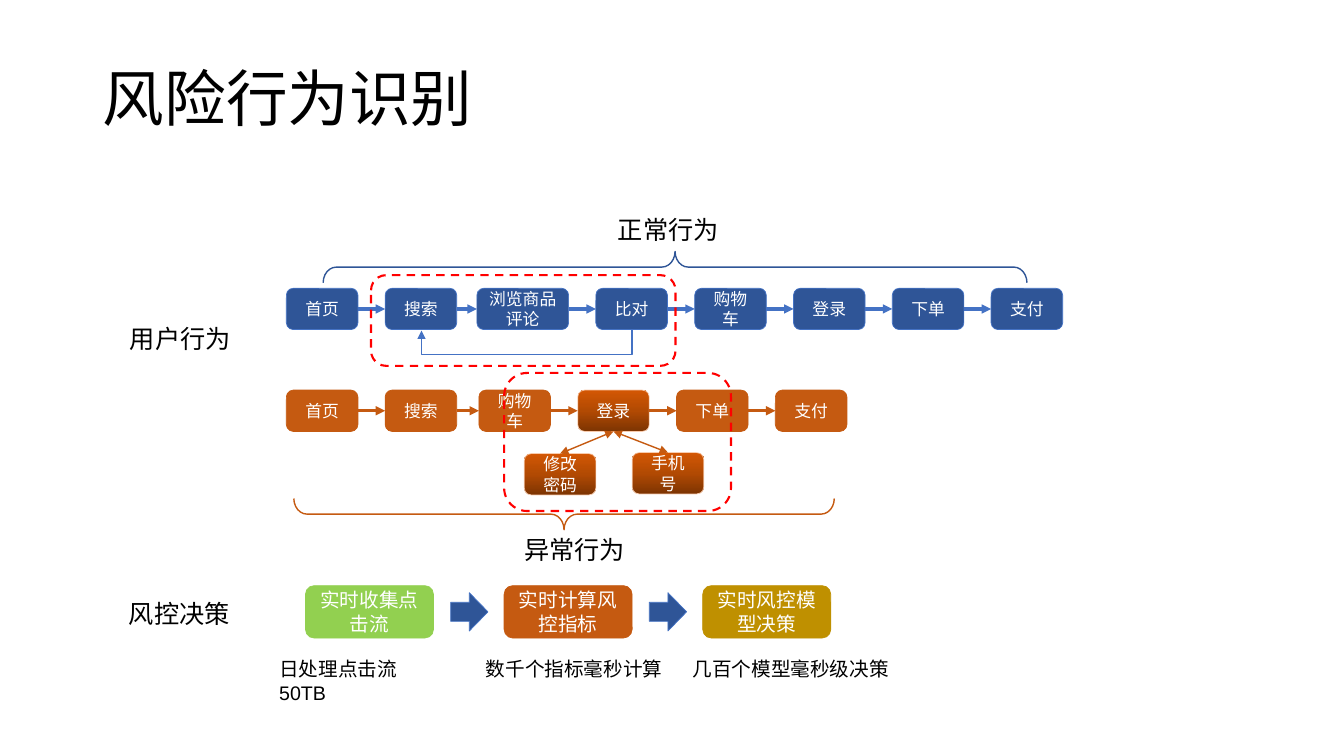
"""Build the risk behaviour recognition slide."""
from copy import deepcopy
from dataclasses import dataclass
from itertools import pairwise

from pptx import Presentation
from pptx.dml.color import RGBColor
from pptx.enum.dml import MSO_LINE
from pptx.enum.shapes import MSO_CONNECTOR, MSO_SHAPE
from pptx.enum.text import MSO_ANCHOR, MSO_AUTO_SIZE, PP_ALIGN
from pptx.oxml.ns import qn
from pptx.util import Emu, Inches, Pt

ROUND, ARROW, BRACE = MSO_SHAPE.ROUNDED_RECTANGLE, MSO_SHAPE.RIGHT_ARROW, MSO_SHAPE.LEFT_BRACE
STRAIGHT, ELBOW = MSO_CONNECTOR.STRAIGHT, MSO_CONNECTOR.ELBOW
DASH = MSO_LINE.DASH
TOP, MIDDLE = MSO_ANCHOR.TOP, MSO_ANCHOR.MIDDLE
LEFT, CENTER = PP_ALIGN.LEFT, PP_ALIGN.CENTER
FIT, NO_FIT = MSO_AUTO_SIZE.SHAPE_TO_FIT_TEXT, MSO_AUTO_SIZE.NONE
SITE_TOP, SITE_LEFT, SITE_BOTTOM, SITE_RIGHT = range(4)

BLACK = RGBColor(0x00, 0x00, 0x00)
WHITE = RGBColor(0xFF, 0xFF, 0xFF)
NAVY = RGBColor(0x2F, 0x55, 0x97)
BLUE = RGBColor(0x44, 0x72, 0xC4)
ORANGE = RGBColor(0xC5, 0x5A, 0x11)
PEACH = RGBColor(0xF8, 0xCB, 0xAD)
GREEN = RGBColor(0x92, 0xD0, 0x50)
GOLD = RGBColor(0xBF, 0x90, 0x00)
RED = RGBColor(0xFF, 0x00, 0x00)
RUST = (
    (0, RGBColor(0x7D, 0x34, 0x02)),
    (0.5, RGBColor(0xB2, 0x4A, 0x03)),
    (1, RGBColor(0xD3, 0x57, 0x04)),
)

WIDTH, HEIGHT = Inches(13.33), Inches(7.5)
COL, ROW = WIDTH / 133.3, HEIGHT / 75
FLOW_LEFT, NODE_W, NODE_H = 28.4, 7.1, 4.1
STAGE_LEFT, STAGE_PITCH, STAGE_W = 30.3, 19.7, 12.7


@dataclass(frozen=True)
class Box:
    """Grid position and size in columns and rows."""
    x: float
    y: float
    w: float
    h: float

    def emu(self) -> tuple[Emu, Emu, Emu, Emu]:
        """Return the box in slide units."""
        return (Emu(round(self.x * COL)), Emu(round(self.y * ROW)),
                Emu(round(self.w * COL)), Emu(round(self.h * ROW)))


@dataclass(frozen=True)
class Step:
    """One step of a user flow."""
    label: str
    w: float = NODE_W
    gap: float = 2.7
    alert: bool = False


@dataclass(frozen=True)
class Label:
    """Free text on the slide."""
    text: str
    box: Box
    size: int = 18
    wrap: bool = False


@dataclass(frozen=True)
class Stage:
    """One stage of the risk decision."""
    text: str
    color: RGBColor


NORMAL = (Step("首页"), Step("搜索", gap=2), Step("浏览商品评论", w=9.1), Step("比对"),
          Step("购物车"), Step("登录"), Step("下单"), Step("支付"))
ABNORMAL = (Step("首页"), Step("搜索", gap=2.2), Step("购物车"), Step("登录", alert=True),
            Step("下单"), Step("支付"))
STAGES = (Stage("实时收集点击流", GREEN), Stage("实时计算风控指标", ORANGE),
          Stage("实时风控模型决策", GOLD))
LABELS = (
    Label("用户行为", Box(11.9, 31.6, 12.1, 4)),
    Label("风控决策", Box(11.8, 58.9, 12.1, 4)),
    Label("正常行为", Box(60.3, 20.8, 12.1, 4)),
    Label("异常行为", Box(51, 52.5, 12.1, 4)),
    Label("日处理点击流50TB", Box(26.7, 64.7, 18.5, 3.4), 14, True),
    Label("数千个指标毫秒计算", Box(47.2, 64.7, 19.7, 3.4), 14),
    Label("几百个模型毫秒级决策", Box(67.7, 64.7, 21.7, 3.4), 14),
)
ALERT_FRAMES = (Box(36.8, 27.3, 30.2, 9), Box(50, 37, 22.5, 13.7))


def write(tf, text: str, size: int, color: RGBColor, align=LEFT, font: str = "Arial"):
    """Put one formatted run into a text frame."""
    p = tf.paragraphs[0]
    p.alignment = align
    r = p.add_run()
    r.text = text
    r.font.name, r.font.size, r.font.color.rgb = font, Pt(size), color
    return p


def add_shape(s, kind, box: Box, fill: RGBColor | None, line: RGBColor, weight: float = 0.5):
    """Add a preset shape with a plain fill and outline."""
    sp = s.shapes.add_shape(kind, *box.emu())
    sp.shadow.inherit = False
    if fill is None:
        sp.fill.background()
    else:
        sp.fill.solid()
        sp.fill.fore_color.rgb = fill
    sp.line.color.rgb, sp.line.width = line, Pt(weight)
    return sp


def add_node(s, text: str, box: Box, fill: RGBColor, line: RGBColor, size: int = 12):
    """Add a rounded box with centred white text."""
    sp = add_shape(s, ROUND, box, fill, line)
    tf = sp.text_frame
    tf.word_wrap, tf.vertical_anchor = True, MIDDLE
    write(tf, text, size, WHITE, CENTER)
    return sp


def add_alert_node(s, text: str, box: Box):
    """Add a node with the rust gradient."""
    sp = add_node(s, text, box, ORANGE, PEACH)
    sp.fill.gradient()
    sp.fill.gradient_angle = 90
    stops = sp._element.spPr.find(".//" + qn("a:gsLst"))
    stops.append(deepcopy(stops[-1]))
    for stop, (position, color) in zip(sp.fill.gradient_stops, RUST):
        stop.position, stop.color.rgb = position, color
    return sp


def add_line(s, kind, color: RGBColor, weight: float, box: Box, double: bool = False):
    """Add a connector with one or two arrowheads."""
    x, y, w, h = box.emu()
    c = s.shapes.add_connector(kind, x, y, x + w, y + h)
    c.line.color.rgb, c.line.width = color, Pt(weight)
    ln = c.line._get_or_add_ln()
    for end in ("a:headEnd", "a:tailEnd") if double else ("a:tailEnd",):
        ln.makeelement(qn(end))
        head = ln.makeelement(qn(end), {"type": "triangle"})
        ln.append(head)
    spPr = c._element.spPr
    spPr.append(spPr.makeelement(qn("a:effectLst")))
    return c


def link(s, start, start_site: int, end, end_site: int, color: RGBColor,
         weight: float, double: bool = False) -> None:
    """Join two nodes with a straight arrow."""
    c = add_line(s, STRAIGHT, color, weight, Box(0, 0, 1, 1), double)
    c.begin_connect(start, start_site)
    c.end_connect(end, end_site)


def add_flow(s, steps: tuple[Step, ...], y: float, fill: RGBColor, line: RGBColor) -> list:
    """Draw a row of steps joined by arrows."""
    nodes, x = [], FLOW_LEFT
    for step in steps:
        box = Box(x, y, step.w, NODE_H)
        nodes.append(add_alert_node(s, step.label, box) if step.alert
                     else add_node(s, step.label, box, fill, line))
        x += step.w + step.gap
    for start, end in pairwise(nodes):
        link(s, start, SITE_RIGHT, end, SITE_LEFT, line, 2.25)
    return nodes


def add_brace(s, box: Box, rotation: int, color: RGBColor) -> None:
    """Add a turned brace."""
    sp = add_shape(s, BRACE, box, None, color, 1)
    sp.rotation = rotation
    sp.adjustments[0] = 0.42


def add_return_arrow(s) -> None:
    """Draw the loop from comparing back to searching."""
    c = add_line(s, ELBOW, BLUE, 1, Box(52.2, 22.3, 0.1, 20.9))
    c._element.spPr.find(qn("a:xfrm")).set("rot", "5400000")
    guides = c._element.spPr.find(qn("a:prstGeom")).get_or_add_avLst()
    guides.append(guides.makeelement(qn("a:gd"), {"name": "adj1", "fmla": "val 2500000"}))


def add_label(s, label: Label) -> None:
    """Add a text box."""
    tf = s.shapes.add_textbox(*label.box.emu()).text_frame
    tf.word_wrap, tf.auto_size = label.wrap, FIT
    if label.wrap:
        tf.margin_right = Inches(0.3)
    write(tf, label.text, label.size, BLACK)


def add_title(s, text: str) -> None:
    """Place and format the title."""
    sp = s.shapes.title
    sp.left, sp.top, sp.width, sp.height = Box(9.2, 6.3, 115, 14.5).emu()
    tf = sp.text_frame
    tf.vertical_anchor, tf.auto_size, tf.word_wrap = TOP, NO_FIT, True
    write(tf, text, 44, BLACK, font="Noto Sans CJK SC").line_spacing = 0.9


def main() -> None:
    """Build and save the slide."""
    prs = Presentation()
    prs.slide_width, prs.slide_height = WIDTH, HEIGHT
    s = prs.slides.add_slide(prs.slide_layouts[5])
    add_title(s, "风险行为识别")
    add_flow(s, NORMAL, 28.6, NAVY, BLUE)
    add_return_arrow(s)
    login = add_flow(s, ABNORMAL, 38.7, ORANGE, ORANGE)[3]
    for text, x, y in (("修改密码", 52, 45), ("手机号", 62.7, 44.9)):
        node = add_alert_node(s, text, Box(x, y, NODE_W, NODE_H))
        link(s, login, SITE_BOTTOM, node, SITE_TOP, ORANGE, 1, True)
    for i, stage in enumerate(STAGES):
        x = STAGE_LEFT + i * STAGE_PITCH
        add_node(s, stage.text, Box(x, 58.1, STAGE_W, 5.2), stage.color, stage.color, 14)
        if i:
            add_shape(s, ARROW, Box(x - 5.3, 58.8, 3.7, 3.8), NAVY, BLUE)
    add_brace(s, Box(54.4, 24.2, 3.1, 53.6), 270, ORANGE)
    add_brace(s, Box(65.4, -8.4, 3.1, 69.8), 90, NAVY)
    for label in LABELS:
        add_label(s, label)
    for frame in ALERT_FRAMES:
        add_shape(s, ROUND, frame, None, RED, 1.5).line.dash_style = DASH
    prs.save("out.pptx")


if __name__ == "__main__":
    main()
